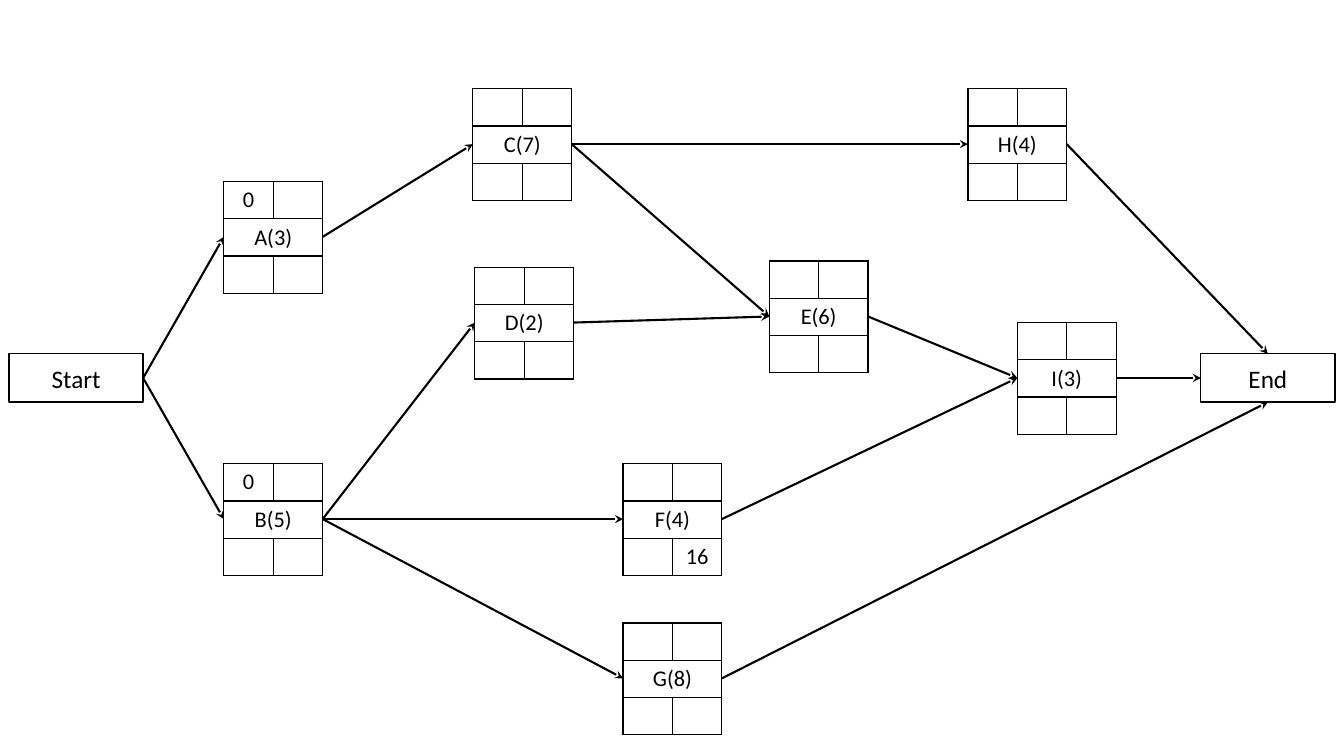
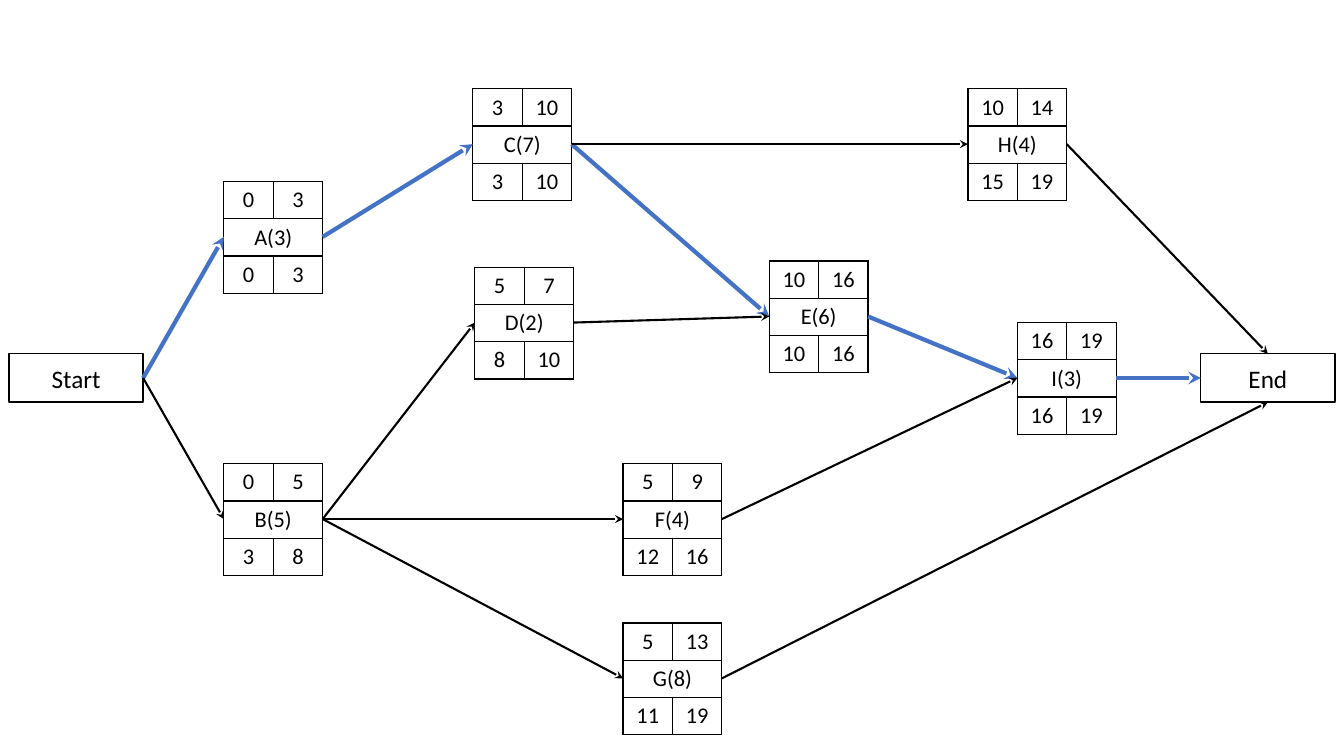
from lxml.etree import SubElement
from pptx import Presentation
from pptx.dml.color import RGBColor
from pptx.enum.shapes import MSO_CONNECTOR, MSO_SHAPE
from pptx.enum.text import MSO_ANCHOR, PP_ALIGN
from pptx.oxml.ns import qn
from pptx.util import Inches, Pt

FONT, BLACK, BLUE = "Calibri", "000000", "4472C4"
NODE_W, NODE_H, ROW_H = 0.98, 1.1, 0.37
END_W, END_H = 1.33, 0.48

# Terminal boxes and activities: left, top
TERMINALS = {"Start": (0.09, 3.51), "End": (11.91, 3.51)}
ACTIVITIES = {
    "A": (2.22, 1.8), "B": (2.22, 4.6), "C": (4.69, 0.88),
    "D": (4.71, 2.65), "F": (6.18, 4.6), "E": (7.63, 2.59),
    "G": (6.18, 6.18), "H": (9.6, 0.88), "I": (10.09, 3.2),
}
DURATIONS = {"A": 3, "B": 5, "C": 7, "D": 2, "E": 6, "F": 4, "G": 8, "H": 4, "I": 3}

# Dependencies: from, to, side of the target that is reached
LINKS = [
    ("Start", "A", "left"), ("Start", "B", "left"), ("A", "C", "left"),
    ("B", "D", "left"), ("C", "E", "left"), ("D", "E", "left"),
    ("B", "F", "left"), ("B", "G", "left"), ("C", "H", "left"),
    ("E", "I", "left"), ("F", "I", "left"), ("H", "End", "top"),
    ("I", "End", "left"), ("G", "End", "bottom"),
]

# Times: early start, early finish, late start, late finish
GIVEN = {"A": (0, "", "", ""), "B": (0, "", "", ""), "F": ("", "", "", 16)}
SOLVED = {
    "A": (0, 3, 0, 3), "B": (0, 5, 3, 8), "C": (3, 10, 3, 10),
    "D": (5, 7, 8, 10), "E": (10, 16, 10, 16), "F": (5, 9, 12, 16),
    "G": (5, 13, 11, 19), "H": (10, 14, 15, 19), "I": (16, 19, 16, 19),
}
CRITICAL_PATH = {"Start", "A", "C", "E", "I", "End"}


def rgb(color):
    return RGBColor.from_string(color)


def set_text(tf, text, size):
    p = tf.paragraphs[0]
    p.text = str(text)
    p.alignment = PP_ALIGN.CENTER
    p.font.name, p.font.size = FONT, Pt(size)
    p.font.color.rgb = rgb(BLACK)


def set_borders(cell):
    tc_pr = cell._tc.get_or_add_tcPr()
    for side in ("lnL", "lnR", "lnT", "lnB"):
        ln = SubElement(tc_pr, qn(f"a:{side}"), w=str(Pt(1)))
        fill = SubElement(ln, qn("a:solidFill"))
        SubElement(fill, qn("a:srgbClr"), val=BLACK)


def add_terminal(s, name, left, top):
    sp = s.shapes.add_shape(MSO_SHAPE.RECTANGLE, Inches(left), Inches(top),
                            Inches(END_W), Inches(END_H))
    sp.shadow.inherit = False
    sp.fill.background()
    sp.line.color.rgb = rgb(BLACK)
    sp.line.width = Pt(1)
    sp.text_frame.vertical_anchor = MSO_ANCHOR.MIDDLE
    set_text(sp.text_frame, name, 18)


def add_activity(s, name, left, top, times):
    table = s.shapes.add_table(3, 2, Inches(left), Inches(top),
                               Inches(NODE_W), Inches(3 * ROW_H)).table
    table.first_row = table.horz_banding = False
    for row in table.rows:
        row.height = Inches(ROW_H)
    for cell in table.iter_cells():
        cell.margin_top = cell.margin_bottom = Inches(0.03)
        cell.vertical_anchor = MSO_ANCHOR.MIDDLE
        set_borders(cell)
        cell.fill.background()

    # Early times above, name and duration in the middle, late times below
    table.cell(1, 0).merge(table.cell(1, 1))
    set_text(table.cell(1, 0).text_frame, f"{name}({DURATIONS[name]})", 16)
    for i, time in enumerate(times):
        set_text(table.cell(i // 2 * 2, i % 2).text_frame, time, 16)


def anchor(name, side):
    """Middle of one side of a terminal or activity."""
    if name in TERMINALS:
        (left, top), w, h = TERMINALS[name], END_W, END_H
    else:
        (left, top), w, h = ACTIVITIES[name], NODE_W, NODE_H
    dx, dy = {"left": (0, 0.5), "right": (1, 0.5),
              "top": (0.5, 0), "bottom": (0.5, 1)}[side]
    return Inches(left + dx * w), Inches(top + dy * h)


def add_arrow(s, start, end, color, width):
    line = s.shapes.add_connector(MSO_CONNECTOR.STRAIGHT, *start, *end)
    line.line.color.rgb = rgb(color)
    line.line.width = Pt(width)
    SubElement(line.line._get_or_add_ln(), qn("a:tailEnd"), type="stealth")
    SubElement(line._element.spPr, qn("a:effectLst"))


def add_network(prs, times, critical):
    s = prs.slides.add_slide(prs.slide_layouts[6])
    for name, place in TERMINALS.items():
        add_terminal(s, name, *place)
    for name, place in ACTIVITIES.items():
        add_activity(s, name, *place, times.get(name, ("",) * 4))
    for source, target, side in LINKS:
        style = (BLUE, 3) if {source, target} <= critical else (BLACK, 1.5)
        add_arrow(s, anchor(source, "right"), anchor(target, side), *style)


def main():
    prs = Presentation()
    prs.slide_width, prs.slide_height = Inches(13.33), Inches(7.5)
    add_network(prs, GIVEN, set())
    add_network(prs, SOLVED, CRITICAL_PATH)
    prs.save("out.pptx")


if __name__ == "__main__":
    main()
